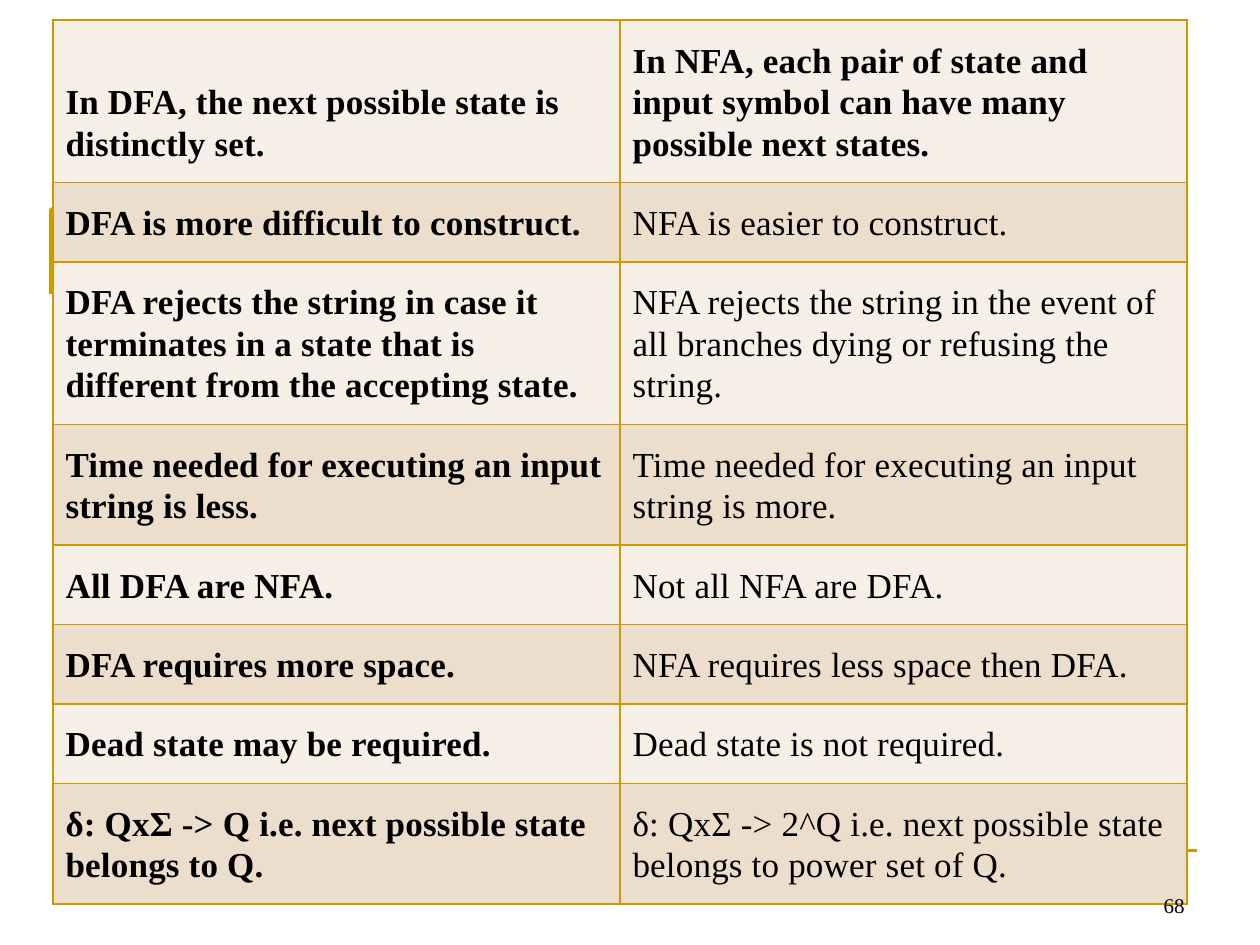
from typing import NamedTuple

import pptx
import pptx.dml.color
import pptx.enum.shapes
import pptx.enum.text
import pptx.oxml
import pptx.oxml.ns
import pptx.util
from pptx.util import Inches

GOLD = pptx.dml.color.RGBColor(0xCC, 0x99, 0x00)
BLACK = pptx.dml.color.RGBColor(0x00, 0x00, 0x00)
BANDS = (
    pptx.dml.color.RGBColor(0xF6, 0xEF, 0xE7),
    pptx.dml.color.RGBColor(0xEC, 0xDE, 0xCC),
)
FONT = "Times New Roman"
TABLE_LEFT, TABLE_TOP, COLUMN_WIDTH = 0.42, 0.16, 4.5
LINE_HEIGHT, ROW_PADDING = 0.33, 0.29


class Comparison(NamedTuple):
    dfa: str
    nfa: str
    lines: int


COMPARISONS = [
    Comparison("In DFA, the next possible state is distinctly set.",
               "In NFA, each pair of state and input symbol can have many possible next states.", 3),
    Comparison("DFA is more difficult to construct.", "NFA is easier to construct.", 1),
    Comparison("DFA rejects the string in case it terminates in a state that is different from the accepting state.",
               "NFA rejects the string in the event of all branches dying or refusing the string.", 3),
    Comparison("Time needed for executing an input string is less.",
               "Time needed for executing an input string is more.", 2),
    Comparison("All DFA are NFA.", "Not all NFA are DFA.", 1),
    Comparison("DFA requires more space.", "NFA requires less space then DFA.", 1),
    Comparison("Dead state may be required.", "Dead state is not required.", 1),
    Comparison("δ: QxΣ -> Q i.e. next possible state belongs to Q.",
               "δ: QxΣ -> 2^Q i.e. next possible state belongs to power set of Q.", 2),
]


def style_run(run, size: float, bold: bool) -> None:
    run.font.name = FONT
    run.font.size = pptx.util.Pt(size)
    run.font.bold = bold
    run.font.color.rgb = BLACK


def add_cell_borders(cell) -> None:
    properties = cell._tc.get_or_add_tcPr()
    for position, side in enumerate(("lnL", "lnR", "lnT", "lnB")):
        border = pptx.oxml.parse_xml(
            f'<a:{side} {pptx.oxml.ns.nsdecls("a")} w="{pptx.util.Pt(1)}">'
            f'<a:solidFill><a:srgbClr val="{GOLD}"/></a:solidFill></a:{side}>'
        )
        properties.insert(position, border)


def fill_cell(cell, statement: str, bold: bool, band: pptx.dml.color.RGBColor) -> None:
    cell.fill.solid()
    cell.fill.fore_color.rgb = band
    cell.margin_left = cell.margin_right = Inches(0.1)
    cell.margin_top = cell.margin_bottom = Inches(0.15)
    cell.vertical_anchor = pptx.enum.text.MSO_ANCHOR.BOTTOM
    paragraph = cell.text_frame.paragraphs[0]
    paragraph.text = statement
    paragraph.line_spacing = 1.07
    run = paragraph.runs[0]
    style_run(run, 20, bold)
    run.font._element.set("spc", "10")
    add_cell_borders(cell)


def add_frame_lines(slide) -> None:
    """Draw the gold corner and the footer rule that lie behind the table."""
    builder = slide.shapes.build_freeform(Inches(0.42), Inches(2.33))
    builder.add_line_segments(
        [(Inches(0.42), Inches(1.67)), (Inches(9.42), Inches(1.67))], close=False
    )
    corner = builder.convert_to_shape()
    corner.shadow.inherit = False
    corner.fill.background()
    corner.line.color.rgb = GOLD
    corner.line.width = pptx.util.Pt(4)

    footer_rule = slide.shapes.add_connector(
        pptx.enum.shapes.MSO_CONNECTOR.STRAIGHT,
        Inches(0.5), Inches(6.75), Inches(9.5), Inches(6.75),
    )
    footer_rule.line.color.rgb = GOLD
    footer_rule.line.width = pptx.util.Pt(2)
    footer_rule._element.spPr.append(
        pptx.oxml.parse_xml(f'<a:effectLst {pptx.oxml.ns.nsdecls("a")}/>')
    )


def add_comparison_table(slide) -> None:
    heights = [ROW_PADDING + LINE_HEIGHT * entry.lines for entry in COMPARISONS]
    table = slide.shapes.add_table(
        len(COMPARISONS), 2, Inches(TABLE_LEFT), Inches(TABLE_TOP),
        Inches(2 * COLUMN_WIDTH), Inches(sum(heights)),
    ).table
    for column in table.columns:
        column.width = Inches(COLUMN_WIDTH)
    for index, (entry, height) in enumerate(zip(COMPARISONS, heights)):
        table.rows[index].height = Inches(height)
        band = BANDS[index % 2]
        fill_cell(table.cell(index, 0), entry.dfa, True, band)
        fill_cell(table.cell(index, 1), entry.nfa, index == 0, band)


def add_page_number(slide, number: str) -> None:
    frame = slide.shapes.add_textbox(
        Inches(7.17), Inches(6.83), Inches(2.33), Inches(0.5)
    ).text_frame
    frame.word_wrap = True
    frame.vertical_anchor = pptx.enum.text.MSO_ANCHOR.BOTTOM
    frame.text = number
    paragraph = frame.paragraphs[0]
    paragraph.alignment = pptx.enum.text.PP_ALIGN.RIGHT
    style_run(paragraph.runs[0], 12, False)


def main() -> None:
    presentation = pptx.Presentation()
    presentation.slide_width = Inches(10)
    presentation.slide_height = Inches(7.5)
    slide = presentation.slides.add_slide(presentation.slide_layouts[6])
    add_frame_lines(slide)
    add_comparison_table(slide)
    add_page_number(slide, "68")
    presentation.save("out.pptx")


if __name__ == "__main__":
    main()
